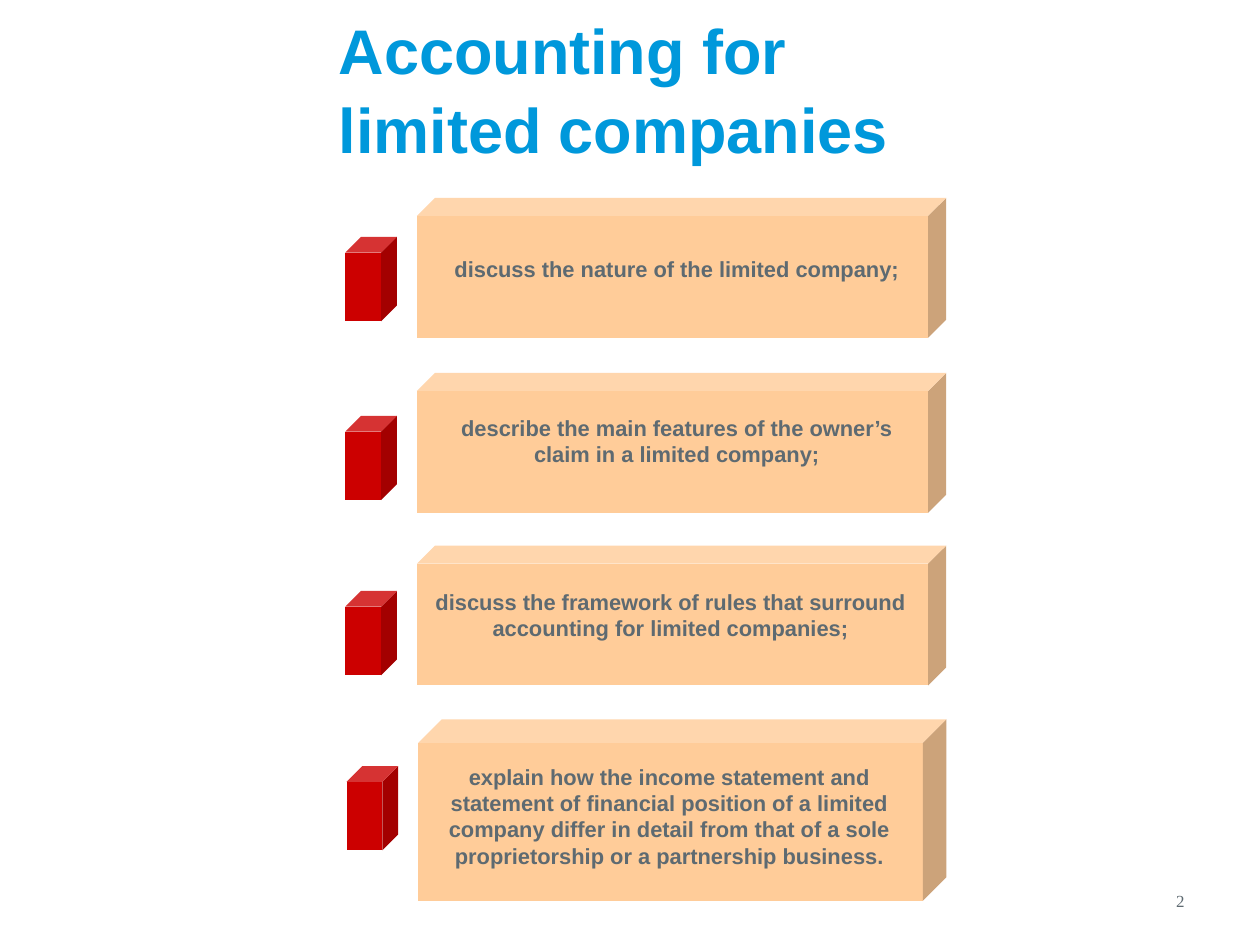
from dataclasses import dataclass

from pptx import Presentation
from pptx.dml.color import RGBColor
from pptx.enum.shapes import MSO_SHAPE
from pptx.enum.text import MSO_ANCHOR, PP_ALIGN
from pptx.util import Inches, Pt

CUBE = MSO_SHAPE.CUBE
TOP, MIDDLE, BOTTOM = MSO_ANCHOR.TOP, MSO_ANCHOR.MIDDLE, MSO_ANCHOR.BOTTOM
LEFT, CENTER, RIGHT = PP_ALIGN.LEFT, PP_ALIGN.CENTER, PP_ALIGN.RIGHT


@dataclass(frozen=True)
class Theme:
    title_color: RGBColor = RGBColor(0x00, 0x98, 0xDB)
    text_color: RGBColor = RGBColor(0x5E, 0x6A, 0x71)
    panel: RGBColor = RGBColor(0xFF, 0xCC, 0x99)
    marker: RGBColor = RGBColor(0xCC, 0x00, 0x00)
    font: str = "Arial"
    number_font: str = "Times New Roman"
    title_size: float = 36
    body_size: float = 12.5
    number_size: float = 9.7


THEME = Theme()

# Panel box, marker offset, text offset and text size, then the objective
OBJECTIVES = [
    ((3.31, 1.57, 4.2, 1.11), (-0.57, 0.31), (-0.14, 0.41), (4.4, 0.42),
     "discuss the nature of the limited company;"),
    ((3.31, 2.96, 4.2, 1.11), (-0.57, 0.34), (0.01, 0.28), (4.1, 0.71),
     "describe the main features of the owner’s claim in a limited company;"),
    ((3.31, 4.33, 4.2, 1.11), (-0.57, 0.36), (-0.19, 0.29), (4.4, 0.71),
     "discuss the framework of rules that surround accounting for limited companies;"),
    ((3.32, 5.71, 4.19, 1.44), (-0.57, 0.37), (-0.05, 0.3), (4.08, 1.28),
     "explain how the income statement and statement of financial position of a "
     "limited company differ in detail from that of a sole proprietorship or a "
     "partnership business."),
]


def add_text(slide, box, text, size, color, font=THEME.font, bold=True,
             align=LEFT, anchor=TOP):
    frame = slide.shapes.add_textbox(*map(Inches, box)).text_frame
    frame.word_wrap = True
    frame.vertical_anchor = anchor
    frame.text = text
    paragraph = frame.paragraphs[0]
    paragraph.alignment = align
    run_font = paragraph.runs[0].font
    run_font.name, run_font.size, run_font.bold = font, Pt(size), bold
    run_font.color.rgb = color
    return frame


def add_cube(slide, box, depth, color):
    cube = slide.shapes.add_shape(CUBE, *map(Inches, box))
    cube.adjustments[0] = depth
    cube.shadow.inherit = False
    cube.fill.solid()
    cube.fill.fore_color.rgb = color
    cube.line.fill.background()


def add_title(slide, box):
    frame = add_text(slide, box, "Accounting for limited companies",
                     THEME.title_size, THEME.title_color, anchor=BOTTOM)
    frame.margin_top = 0
    frame.margin_bottom = Inches(0.03)
    frame.paragraphs[0].line_spacing = 1.05


def add_objective(slide, box, marker_offset, text_offset, text_size, text):
    """Place a panel in the box, with its marker and text offset from its corner."""
    left, top = box[:2]
    marker_box = (left + marker_offset[0], top + marker_offset[1], 0.41, 0.67)
    text_box = (left + text_offset[0], top + text_offset[1], *text_size)
    add_cube(slide, box, 0.129, THEME.panel)
    add_cube(slide, marker_box, 0.307, THEME.marker)
    add_text(slide, text_box, text, THEME.body_size, THEME.text_color, align=CENTER)


def add_page_number(slide, box):
    add_text(slide, box, "2", THEME.number_size, THEME.text_color,
             font=THEME.number_font, bold=False, align=RIGHT, anchor=MIDDLE)


def main():
    deck = Presentation()
    deck.slide_width, deck.slide_height = Inches(10), Inches(7.5)
    slide = deck.slides.add_slide(deck.slide_layouts[6])
    add_title(slide, (2.59, 0.14, 4.76, 1.21))
    for objective in OBJECTIVES:
        add_objective(slide, *objective)
    add_page_number(slide, (7.17, 6.95, 2.33, 0.4))
    deck.save("out.pptx")


if __name__ == "__main__":
    main()
